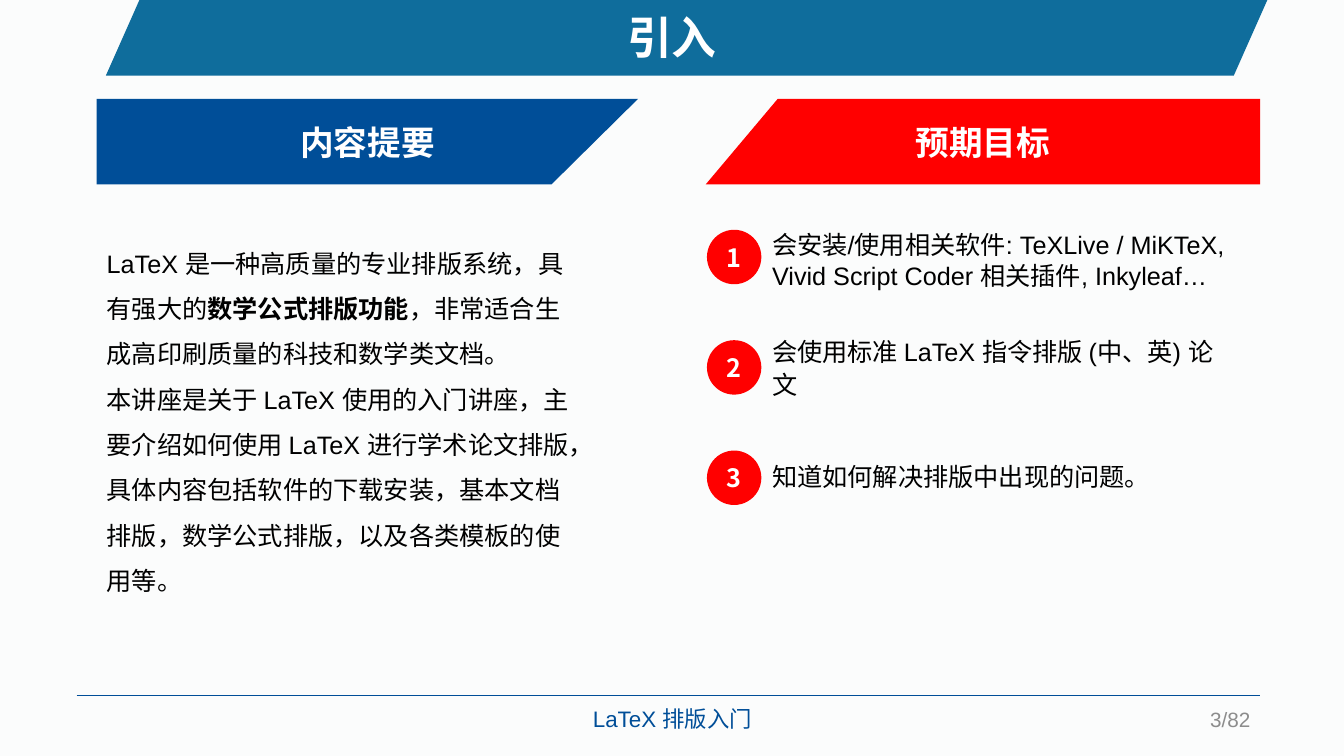
from lxml.etree import SubElement
from pptx import Presentation
from pptx.dml.color import RGBColor
from pptx.enum.shapes import MSO_CONNECTOR, MSO_SHAPE
from pptx.enum.text import MSO_ANCHOR, PP_ALIGN
from pptx.oxml.ns import qn
from pptx.util import Inches, Pt

WIDE, HIGH = Inches(13.33), Inches(7.5)
COL, ROW = WIDE / 100, HIGH / 100
PAPER = RGBColor(0xFB, 0xFC, 0xFC)
TEAL = RGBColor(0x0F, 0x6D, 0x9C)
NAVY = RGBColor(0x00, 0x4E, 0x98)
RED = RGBColor(0xFF, 0x00, 0x00)
GRAY = RGBColor(0x8C, 0x8C, 0x8C)
WHITE = RGBColor(0xFF, 0xFF, 0xFF)
BLACK = RGBColor(0x00, 0x00, 0x00)
LATIN, HAN = "Arial", "Noto Sans CJK SC"

INTRO = [
    [("LaTeX ", LATIN, False),
     ("是一种高质量的专业排版系统，具有强大的", HAN, False),
     ("数学公式排版功能", HAN, True),
     ("，非常适合生成高印刷质量的科技和数学类文档。", HAN, False)],
    [("本讲座是关于 ", HAN, False),
     ("LaTeX ", LATIN, False),
     ("使用的入门讲座，主要介绍如何使用 ", HAN, False),
     ("LaTeX ", LATIN, False),
     ("进行学术论文排版，具体内容包括软件的下载安装，基本文档排版，"
      "数学公式排版，以及各类模板的使用等。", HAN, False)],
]
GOALS = [
    ("会安装/使用相关软件: TeXLive / MiKTeX, Vivid Script Coder 相关插件, Inkyleaf…",
     -0.67, 36.6, 11.33, 1),
    ("会使用标准 LaTeX 指令排版 (中、英) 论文", -1.6, 34.5, 12.27, 1.1),
    ("知道如何解决排版中出现的问题。", 0.8, 36.6, 5.33, 1),
]


def place(x, y, w, h):
    return round(x * COL), round(y * ROW), round(w * COL), round(h * ROW)


def style(font, size, color, name=LATIN, bold=False):
    font.size, font.bold, font.name = Pt(size), bold, name
    font.color.rgb = color


def set_han(para):
    latin = para.font._element.find(qn("a:latin"))
    east = SubElement(para.font._element, qn("a:ea"), typeface=HAN)
    latin.addnext(east)


def write(shape, text, size, color, name=LATIN, bold=False,
          align=PP_ALIGN.LEFT, anchor=MSO_ANCHOR.MIDDLE, gap=1):
    frame = shape.text_frame
    frame.word_wrap, frame.vertical_anchor = True, anchor
    para = frame.paragraphs[0]
    para.text, para.alignment, para.line_spacing = text, align, gap
    style(para.font, size, color, name, bold)
    set_han(para)


def label(slide, box, text, size, color, **look):
    write(slide.shapes.add_textbox(*place(*box)), text, size, color, **look)


def paint(shape, color):
    shape.shadow.inherit = False
    shape.fill.solid()
    shape.fill.fore_color.rgb = color
    shape.line.fill.background()


def title(slide, box):
    x, y, w, h = box
    bar = slide.shapes.add_shape(MSO_SHAPE.PARALLELOGRAM, *place(*box))
    bar.adjustments[0] = 0.444
    paint(bar, TEAL)
    label(slide, (14.55, y + 0.67, 70.9, h - 1.47), "引入", 32, WHITE,
          name=HAN, bold=True, align=PP_ALIGN.CENTER, anchor=MSO_ANCHOR.TOP)


def banner(slide, box, text, color, shares):
    x, y, w, h = box
    points = [(round((x + w * across) * COL), round((y + h * down) * ROW))
              for across, down in zip(shares, (0, 0, 1, 1))]
    build = slide.shapes.build_freeform(*points[0])
    build.add_line_segments(points[1:], close=True)
    shape = build.convert_to_shape()
    paint(shape, color)
    write(shape, text, 24, WHITE, name=HAN, bold=True, align=PP_ALIGN.CENTER)


def summary(slide, box):
    frame = slide.shapes.add_textbox(*place(*box)).text_frame
    frame.word_wrap = True
    for index, parts in enumerate(INTRO):
        para = frame.add_paragraph() if index else frame.paragraphs[0]
        para.line_spacing = 1.5
        style(para.font, 18, BLACK)
        set_han(para)
        for text, name, bold in parts:
            run = para.add_run()
            run.text, run.font.name, run.font.bold = text, name, bold


def goals(slide, box):
    x, y, w, h = box
    step = h / len(GOALS)
    for index, (text, shift, wide, high, gap) in enumerate(GOALS):
        top = y + index * step
        dot = slide.shapes.add_shape(MSO_SHAPE.OVAL, *place(x, top, 4.05, 7.2))
        paint(dot, RED)
        frame = dot.text_frame
        frame.margin_left = frame.margin_right = 0
        write(dot, str(index + 1), 18, WHITE, name=HAN, bold=True,
              align=PP_ALIGN.CENTER)
        label(slide, (x + 4.11, top + shift, wide, high), text, 18, BLACK,
              anchor=MSO_ANCHOR.TOP, gap=gap)


def footer(slide, box):
    x, y, w, h = box
    left, top, wide, _ = place(*box)
    rule = slide.shapes.add_connector(
        MSO_CONNECTOR.STRAIGHT, left, top, left + wide, top)
    rule.line.color.rgb, rule.line.width = NAVY, Pt(0.5)
    SubElement(rule._element.spPr, qn("a:effectLst"))
    label(slide, (39.53, y + 0.67, 21, 4.93), "LaTeX 排版入门", 16, NAVY,
          align=PP_ALIGN.CENTER, anchor=MSO_ANCHOR.TOP)
    label(slide, (x + w - 22.13, y + 0.8, 22.13, 4.67), "3/82", 14.8, GRAY,
          align=PP_ALIGN.RIGHT)


def main():
    deck = Presentation()
    deck.slide_width, deck.slide_height = WIDE, HIGH
    slide = deck.slides.add_slide(deck.slide_layouts[6])
    slide.background.fill.solid()
    slide.background.fill.fore_color.rgb = PAPER
    footer(slide, (5.7, 92, 88.07, 8))
    title(slide, (7.88, 0, 86.42, 10))
    banner(slide, (7.2, 13.07, 40.28, 11.33), "内容提要", NAVY, (0, 1, 0.84, 0))
    banner(slide, (52.51, 13.07, 41.26, 11.33), "预期目标", RED, (0.13, 1, 1, 0))
    summary(slide, (7.2, 30.13, 36.6, 51.47))
    goals(slide, (52.6, 30.4, 41.2, 43.8))
    deck.save("out.pptx")


if __name__ == "__main__":
    main()
